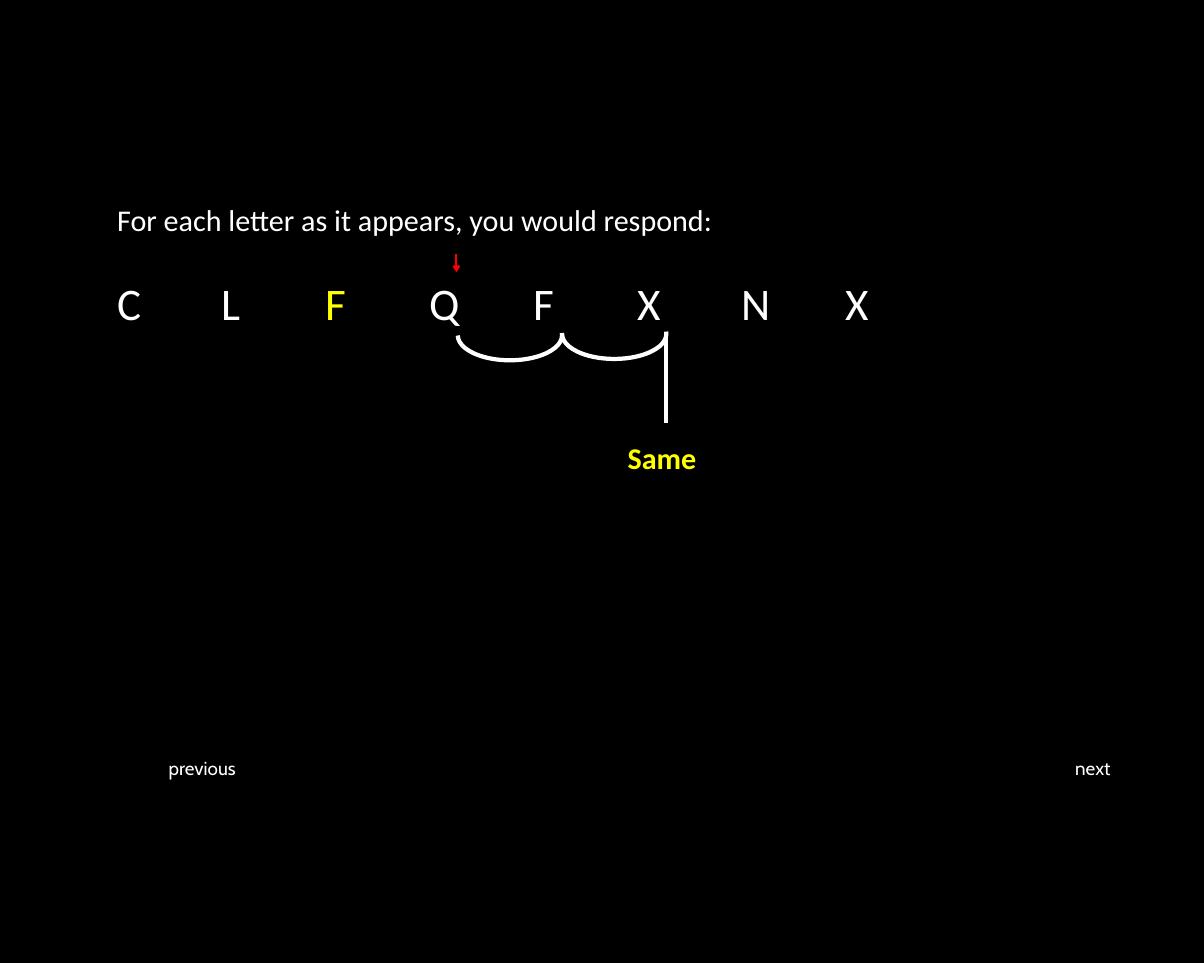
from pptx import Presentation
from pptx.dml.color import RGBColor
from pptx.enum.shapes import MSO_CONNECTOR, MSO_SHAPE
from pptx.enum.text import MSO_ANCHOR, PP_ALIGN
from pptx.oxml.ns import qn
from pptx.util import Inches, Pt
from lxml.etree import SubElement

BLACK = RGBColor(0, 0, 0)
WHITE = RGBColor(255, 255, 255)
YELLOW = RGBColor(255, 255, 0)
RED = RGBColor(255, 0, 0)
LETTERS = "CLFQFXNX"
LETTER_STEP = 1.536

presentation = Presentation()
presentation.slide_width = Inches(17.78)
presentation.slide_height = Inches(14.22)
slide = presentation.slides.add_slide(presentation.slide_layouts[5])
slide.background.fill.solid()
slide.background.fill.fore_color.rgb = BLACK


def write_text(shape, box, text, size, font_name="Calibri", color=WHITE, bold=False):
    shape.left, shape.top, shape.width, shape.height = map(Inches, box)
    frame = shape.text_frame
    frame.word_wrap = True
    frame.vertical_anchor = MSO_ANCHOR.TOP
    frame.text = text
    paragraph = frame.paragraphs[0]
    paragraph.alignment = PP_ALIGN.LEFT
    for run in paragraph.runs:
        run.font.name = font_name
        run.font.size = Pt(size)
        run.font.bold = bold
        run.font.color.rgb = color
    return paragraph


def add_line(start, end, color, width):
    line = slide.shapes.add_connector(
        MSO_CONNECTOR.STRAIGHT, *map(Inches, start + end))
    line.line.color.rgb = color
    line.line.width = Pt(width)
    SubElement(line._element.spPr, qn("a:effectLst"))
    return line


# Prompt
write_text(slide.shapes.title, (1.63, 2.93, 14.87, 0.64),
           "For each letter as it appears, you would respond:", 32)

# Letter sequence on evenly spaced tab stops, target letter in yellow
letter_box = slide.shapes.add_textbox(0, 0, 0, 0)
sequence = write_text(letter_box, (1.63, 4.02, 14.87, 0.91), "", 48)
tab_list = SubElement(sequence._p.get_or_add_pPr(), qn("a:tabLst"))
for index in range(1, len(LETTERS)):
    SubElement(tab_list, qn("a:tab"),
               pos=str(Inches(index * LETTER_STEP)), algn="l")
for text, color in (("C\tL\t", WHITE), ("F", YELLOW),
                    ("\t" + "\t".join(LETTERS[3:]), WHITE)):
    run = sequence.add_run()
    run.text = text
    run.font.name = "Calibri"
    run.font.size = Pt(48)
    run.font.color.rgb = color

# Response and navigation labels
for box, text, size, font_name, color, bold in (
    ((9.17, 6.44, 1.6, 0.64), "Same", 32, "Calibri", YELLOW, True),
    ((2.39, 11.12, 3.05, 0.44), "previous", 20, "Cabin", WHITE, False),
    ((15.78, 11.12, 2, 0.44), "next", 20, "Cabin", WHITE, False),
):
    label = slide.shapes.add_textbox(0, 0, 0, 0)
    write_text(label, box, text, size, font_name, color, bold)

# Arrow to the current letter
arrow = add_line((6.74, 3.75), (6.74, 4.02), RED, 2.25)
SubElement(arrow.line._get_or_add_ln(), qn("a:tailEnd"), type="arrow")

# Arcs counting two letters on, and the line down to the response
for left, top in ((8.3, 4.56), (6.76, 4.58)):
    arc = slide.shapes.add_shape(
        MSO_SHAPE.ARC, *map(Inches, (left, top, 1.54, 0.74)))
    arc.rotation = 180
    arc.adjustments[0] = 106.5
    arc.adjustments[1] = 215.81
    arc.shadow.inherit = False
    arc.fill.background()
    arc.line.color.rgb = WHITE
    arc.line.width = Pt(4.5)
add_line((9.83, 4.92), (9.83, 6.24), WHITE, 4.5)

presentation.save("out.pptx")
